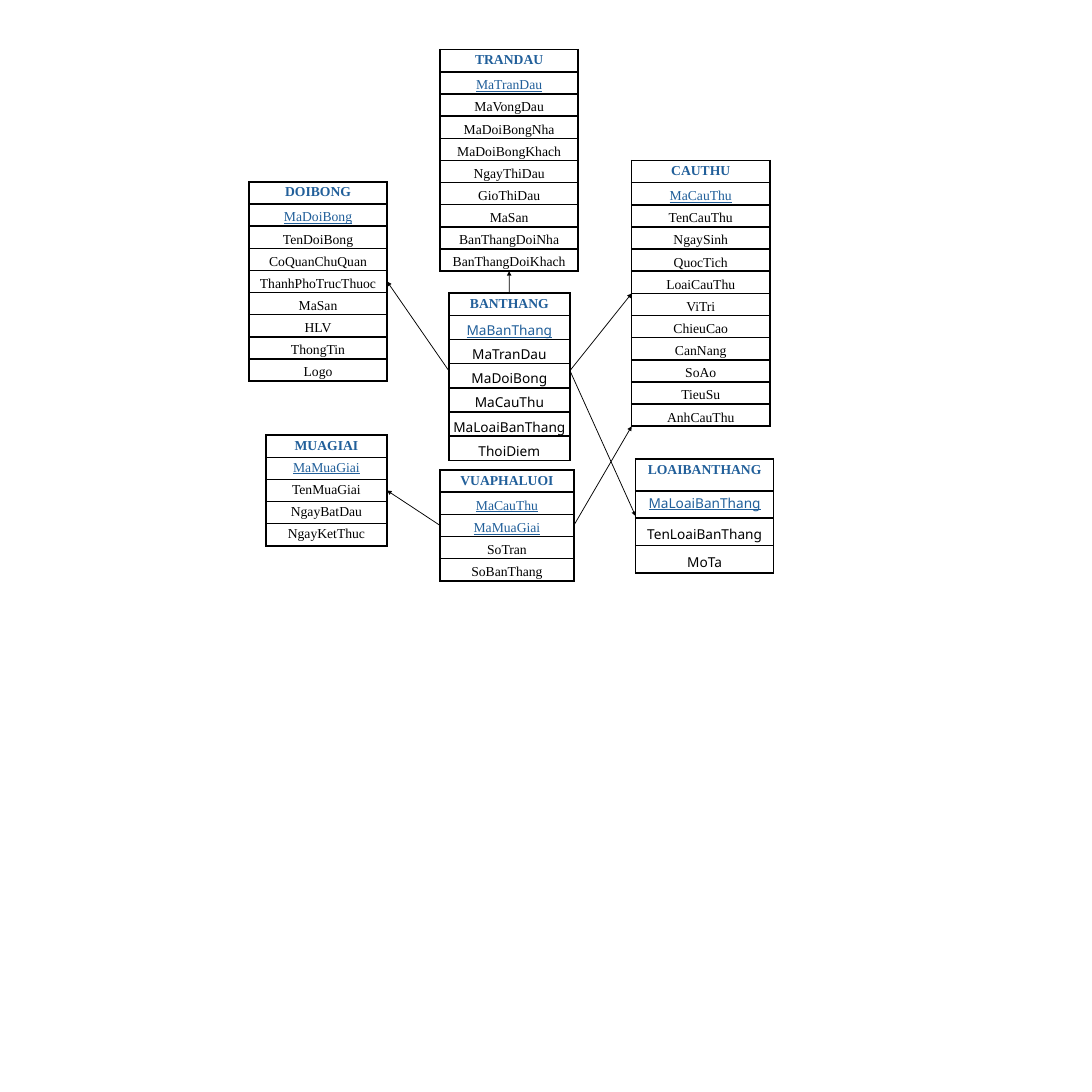
"""Draw the database tables of a football league and the references between them."""
import dataclasses

import lxml.etree
import pptx
import pptx.dml.color
import pptx.enum.shapes
import pptx.enum.text
import pptx.oxml.ns
import pptx.util

Pt = pptx.util.Pt
TOP, LEFT, BOTTOM, RIGHT = range(4)


@dataclasses.dataclass(frozen=True)
class Theme:
    serif: str = "Times New Roman"
    sans: str = "Noto Sans"
    key_color: str = "215F9A"
    ink: str = "000000"
    text_size: float = 18
    border_width: float = 2.25
    arrow_width: float = 1
    row_height: float = 29.2
    field_spacing: float = 1.3
    side_margin: float = 5


THEME = Theme()


@dataclasses.dataclass(frozen=True)
class Entity:
    name: str
    left: float
    top: float
    width: float
    keys: str
    fields: str
    font: str = THEME.serif
    roomy_rows: int = 1
    header_height: float = THEME.row_height
    field_height: float = THEME.row_height


ENTITIES = [
    Entity("DOIBONG", 328.3, 239.8, 182.2, "MaDoiBong",
           "TenDoiBong CoQuanChuQuan ThanhPhoTrucThuoc MaSan HLV ThongTin Logo"),
    Entity("TRANDAU", 580.3, 65.5, 182.2, "MaTranDau",
           "MaVongDau MaDoiBongNha MaDoiBongKhach NgayThiDau GioThiDau MaSan "
           "BanThangDoiNha BanThangDoiKhach"),
    Entity("BANTHANG", 591.8, 386.6, 159.8, "MaBanThang",
           "MaTranDau MaDoiBong MaCauThu MaLoaiBanThang ThoiDiem", font=THEME.sans),
    Entity("LOAIBANTHANG", 838.1, 605.5, 182.2, "MaLoaiBanThang", "TenLoaiBanThang MoTa",
           font=THEME.sans, roomy_rows=2, header_height=41.8, field_height=36),
    Entity("VUAPHALUOI", 580.3, 619.9, 176.4, "MaCauThu MaMuaGiai", "SoTran SoBanThang"),
    Entity("MUAGIAI", 350.6, 573.8, 159.8, "MaMuaGiai", "TenMuaGiai NgayBatDau NgayKetThuc",
           roomy_rows=5),
    Entity("CAUTHU", 833, 211.7, 182.2, "MaCauThu",
           "TenCauThu NgaySinh QuocTich LoaiCauThu ViTri ChieuCao CanNang SoAo TieuSu AnhCauThu"),
]

REFERENCES = [
    ("VUAPHALUOI", LEFT, "MUAGIAI", RIGHT),
    ("BANTHANG", RIGHT, "LOAIBANTHANG", LEFT),
    ("BANTHANG", RIGHT, "CAUTHU", LEFT),
    ("BANTHANG", LEFT, "DOIBONG", RIGHT),
    ("BANTHANG", TOP, "TRANDAU", BOTTOM),
]


def write_text(text_frame, text, *, font, color, bold=False, underline=False, spacing=None):
    paragraph = text_frame.paragraphs[0]
    paragraph.alignment = pptx.enum.text.PP_ALIGN.CENTER
    paragraph.line_spacing = spacing
    run = paragraph.add_run()
    run.text = text
    run.font.name = font
    run.font.size = Pt(THEME.text_size)
    run.font.bold = bold
    run.font.underline = underline
    run.font.color.rgb = pptx.dml.color.RGBColor.from_string(color)


def add_child(parent, tag, **attributes):
    return lxml.etree.SubElement(parent, pptx.oxml.ns.qn(tag), **attributes)


def frame_cell(cell):
    properties = cell._tc.get_or_add_tcPr()
    for side in ("a:lnL", "a:lnR", "a:lnT", "a:lnB"):
        border = add_child(properties, side, w=str(Pt(THEME.border_width)))
        add_child(add_child(border, "a:solidFill"), "a:srgbClr", val=THEME.ink)
    cell.fill.background()


def tighten_cell(cell):
    cell.vertical_anchor = pptx.enum.text.MSO_ANCHOR.MIDDLE
    cell.margin_left = cell.margin_right = Pt(THEME.side_margin)
    cell.margin_top = cell.margin_bottom = 0


def add_entity(slide, entity):
    keys, fields = entity.keys.split(), entity.fields.split()
    names = [entity.name, *keys, *fields]
    heights = [entity.header_height] + [entity.field_height] * (len(names) - 1)
    frame = slide.shapes.add_table(len(names), 1, Pt(entity.left), Pt(entity.top),
                                   Pt(entity.width), Pt(sum(heights)))
    table = frame.table
    table.first_row = table.horz_banding = False
    for index, (name, height) in enumerate(zip(names, heights)):
        table.rows[index].height = Pt(height)
        cell = table.cell(index, 0)
        frame_cell(cell)
        roomy = index < entity.roomy_rows
        if not roomy:
            tighten_cell(cell)
        write_text(cell.text_frame, name,
                   font=entity.font if index else THEME.serif,
                   color=THEME.key_color if index <= len(keys) else THEME.ink,
                   bold=index == 0,
                   underline=1 <= index <= len(keys),
                   spacing=None if roomy else THEME.field_spacing)
    return frame


def add_arrow(slide, source, source_side, end_x=0, end_y=0):
    arrow = slide.shapes.add_connector(pptx.enum.shapes.MSO_CONNECTOR.STRAIGHT,
                                       0, 0, end_x, end_y)
    arrow.begin_connect(source, source_side)
    arrow.line.width = Pt(THEME.arrow_width)
    arrow.line.color.rgb = pptx.dml.color.RGBColor.from_string(THEME.ink)
    properties = arrow._element.spPr
    add_child(properties.find(pptx.oxml.ns.qn("a:ln")), "a:tailEnd", type="triangle")
    add_child(properties, "a:effectLst")
    return arrow


def main():
    presentation = pptx.Presentation()
    presentation.slide_width = presentation.slide_height = Pt(1440)
    slide = presentation.slides.add_slide(presentation.slide_layouts[6])
    frames = {entity.name: add_entity(slide, entity) for entity in ENTITIES}

    player = frames["CAUTHU"]
    add_arrow(slide, frames["VUAPHALUOI"], RIGHT, player.left, player.top + player.height)
    for source, source_side, target, target_side in REFERENCES:
        arrow = add_arrow(slide, frames[source], source_side)
        arrow.end_connect(frames[target], target_side)
    presentation.save("out.pptx")


if __name__ == "__main__":
    main()
